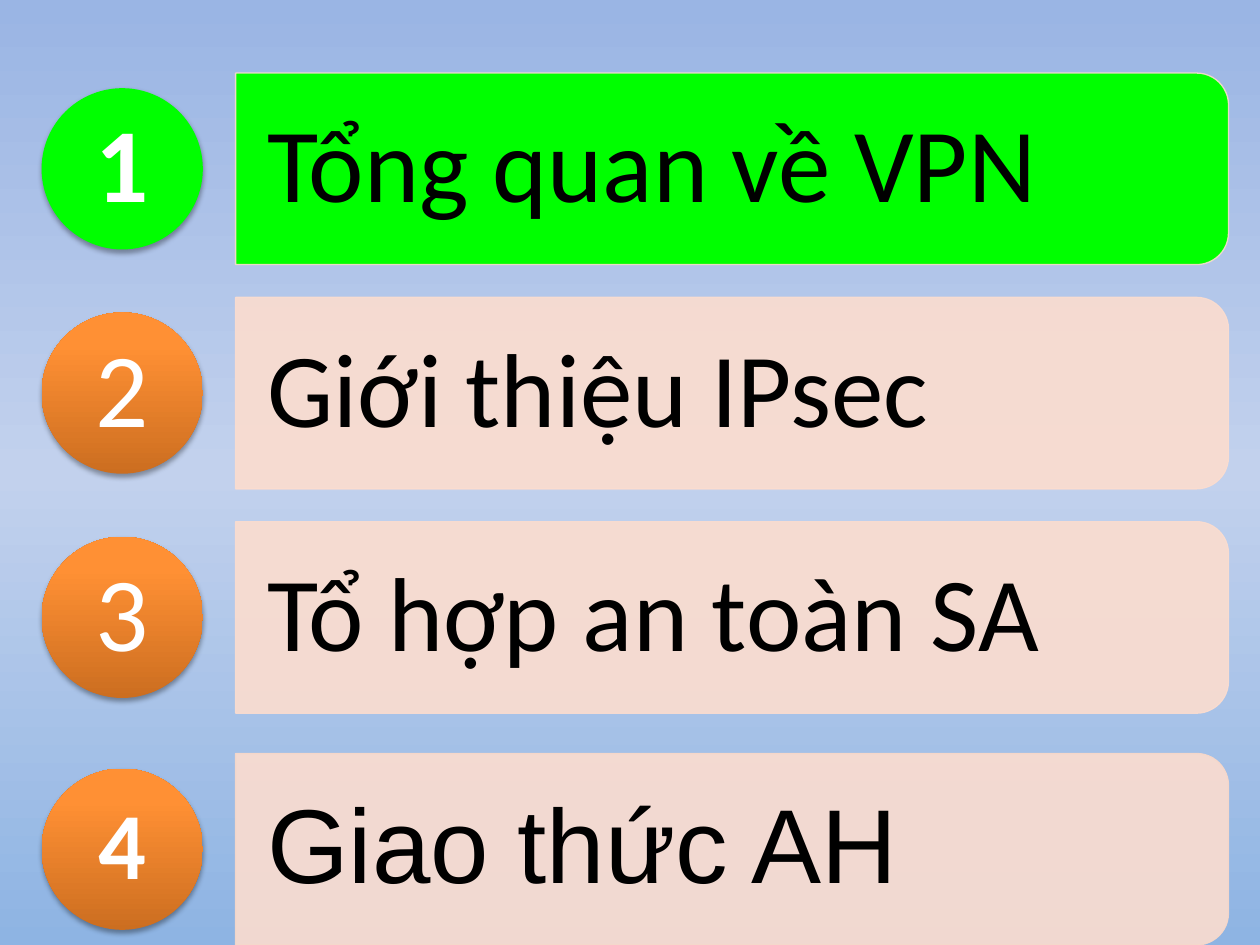
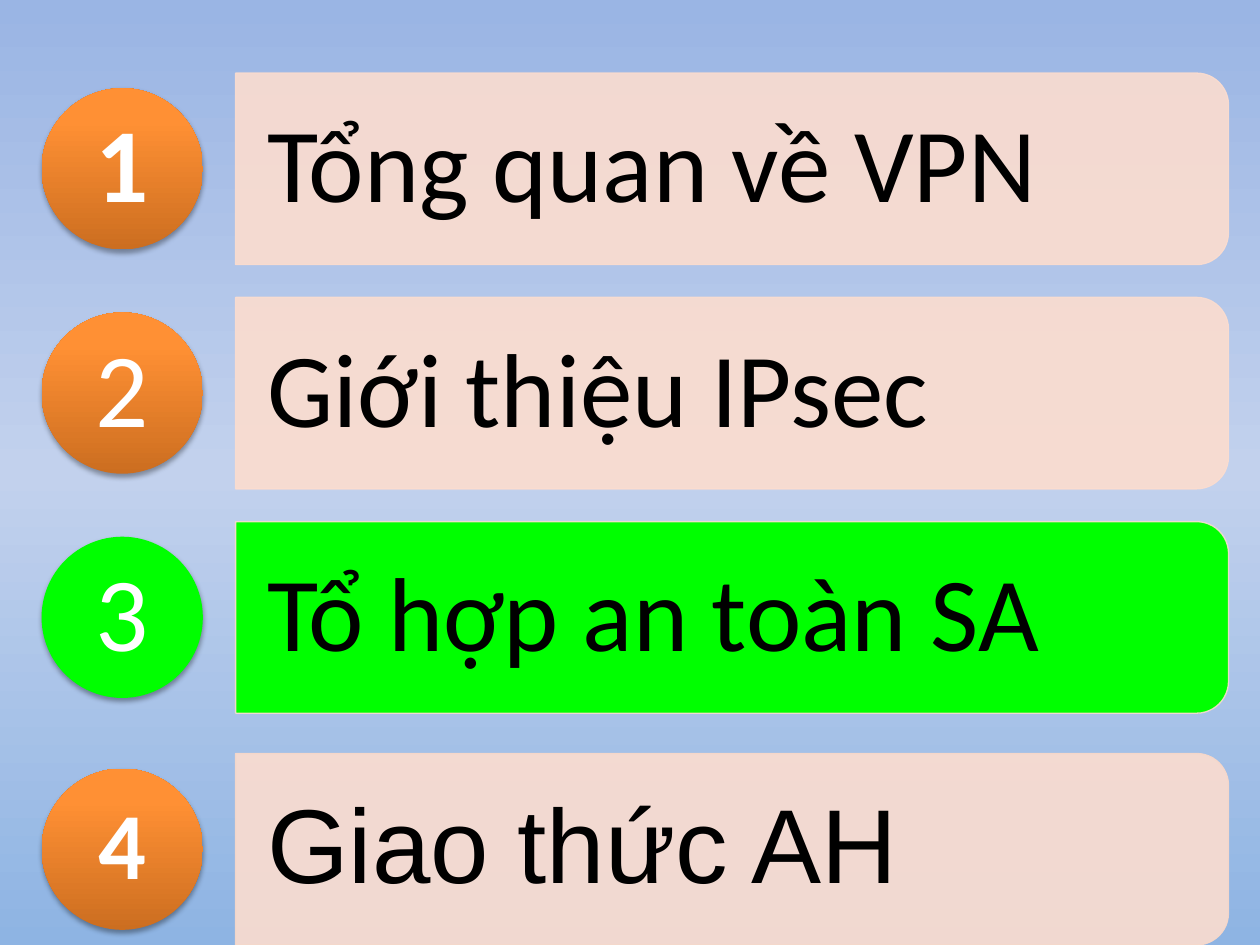
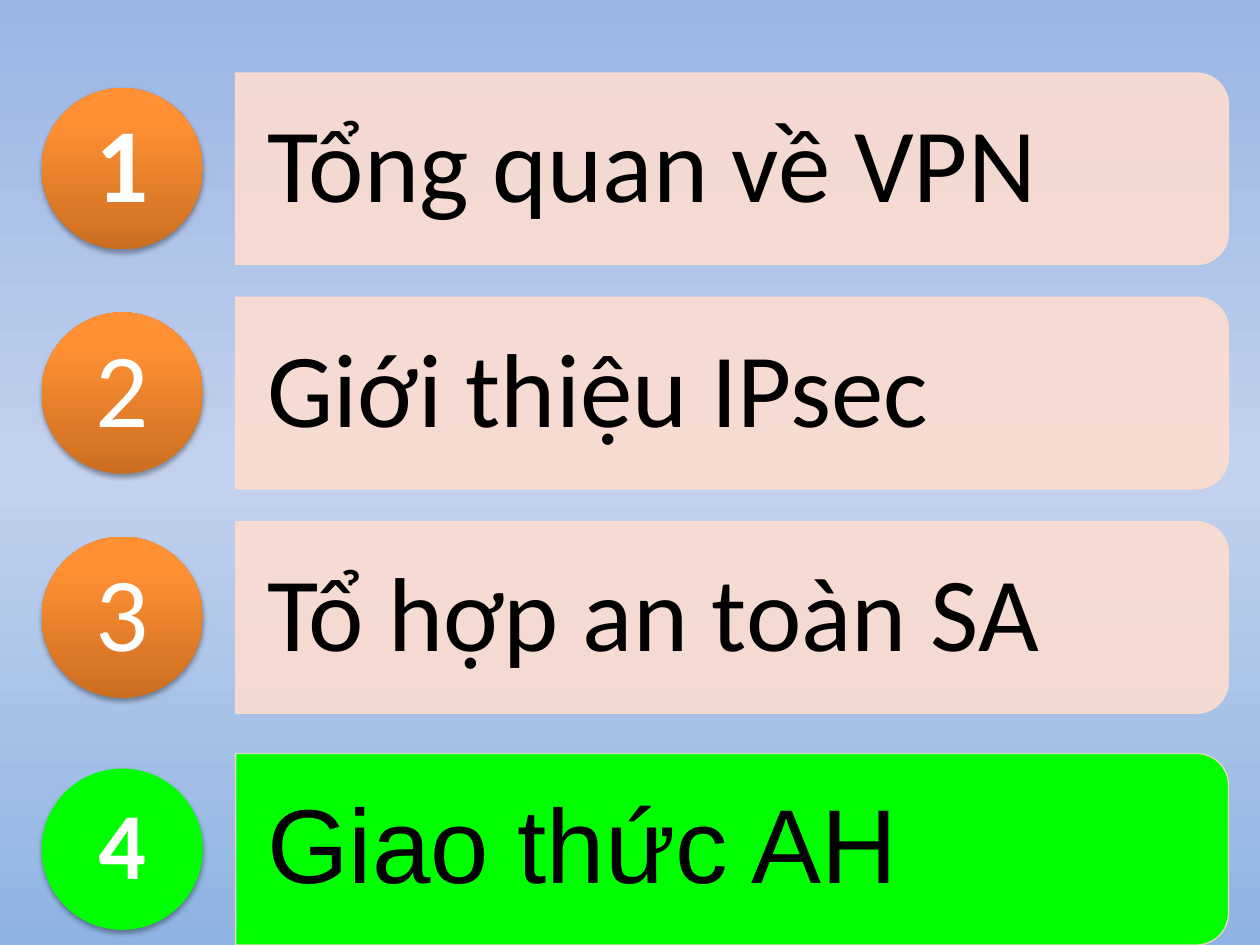
from lxml import etree
from pptx import Presentation
from pptx.dml.color import RGBColor
from pptx.enum.shapes import MSO_SHAPE as SHAPE
from pptx.enum.text import MSO_ANCHOR as ANCHOR, PP_ALIGN as ALIGN
from pptx.oxml.ns import qn
from pptx.util import Inches, Pt

# Shared colours
HIGHLIGHT, PEACH, PEACH_EDGE = "00FF00", "FCDDCF", "F8D8C9"
BLACK, WHITE = "000000", "FFFFFF"
SKY = [(0, "9AB5E4"), (50, "C2D1ED"), (100, "8EB4E3")]
ORANGE = [(0, "CC6E20"), (80, "FF9034"), (100, "FF9136")]

# Shared layout, in inches
BAR_LEFT, BAR_W, BAR_H = 1.87, 7.88, 1.52
LABEL_W, LABEL_H = 7.81, 1.37
CIRCLE_LEFT, CIRCLE_D = 0.33, 1.28

# Agenda rows: vertical centre, label, label font, bar edge, number format
AGENDA = [
    (1.34, "Tổng quan về VPN", "Calibri", PEACH, dict(size=60, bold=True)),
    (3.12, "Giới thiệu IPsec", "Calibri", PEACH, dict(size=60)),
    (4.9, "Tổ hợp an toàn SA", "Calibri", PEACH, dict(size=60)),
    (6.74, "Giao thức AH", "Arial", PEACH_EDGE, dict(size=54, bold=True)),
]
CURRENT_ROWS = [1, 3, 4]


def rgb(color):
    return RGBColor.from_string(color)


def set_alpha(parent, percent):
    color = parent.find(".//" + qn("a:srgbClr"))
    etree.SubElement(color, qn("a:alpha"), val=str(percent * 1000))


def set_gradient(fill, element, stops, angle):
    fill.gradient()
    fill.gradient_angle = angle
    gs_list = element.find(".//" + qn("a:gsLst"))
    for gs in list(gs_list):
        gs_list.remove(gs)
    for pos, color in stops:
        gs = etree.SubElement(gs_list, qn("a:gs"), pos=str(pos * 1000))
        etree.SubElement(gs, qn("a:srgbClr"), val=color)


def add_shadow(shape):
    shape.shadow.inherit = False
    effects = shape.element.spPr.find(qn("a:effectLst"))
    shadow = etree.SubElement(effects, qn("a:outerShdw"), blurRad=str(Pt(3.1)),
                              dist=str(Pt(1.8)), dir="5400000", rotWithShape="0")
    etree.SubElement(shadow, qn("a:srgbClr"), val=BLACK)
    set_alpha(shadow, 35)


def set_text(shape, text, *, size, color, font="Calibri", bold=False,
             align=ALIGN.LEFT, inset=(0, 0)):
    tf = shape.text_frame
    tf.word_wrap = True
    tf.vertical_anchor = ANCHOR.MIDDLE
    tf.margin_left = tf.margin_right = Inches(inset[0])
    tf.margin_top = tf.margin_bottom = Inches(inset[1])
    p = tf.paragraphs[0]
    p.alignment = align
    p.line_spacing = 0.9
    after = etree.SubElement(p._p.get_or_add_pPr(), qn("a:spcAft"))
    etree.SubElement(after, qn("a:spcPct"), val="35000")
    r = p.add_run()
    r.text = text
    r.font.name, r.font.size, r.font.bold = font, Pt(size), bold
    r.font.color.rgb = rgb(color)


def add_bar(s, middle, edge, current):
    # A quarter turn puts the two rounded corners on the right
    bar = s.shapes.add_shape(
        SHAPE.ROUND_2_SAME_RECTANGLE,
        Inches(BAR_LEFT + (BAR_W - BAR_H) / 2), Inches(middle - BAR_W / 2),
        Inches(BAR_H), Inches(BAR_W))
    bar.rotation = 90
    bar.shadow.inherit = False
    bar.fill.solid()
    bar.fill.fore_color.rgb = rgb(HIGHLIGHT if current else PEACH)
    if not current:
        set_alpha(bar.element.spPr.find(qn("a:solidFill")), 90)
    bar.line.color.rgb = rgb(edge)
    bar.line.width = Pt(0.75)
    set_alpha(bar.element.spPr.find(qn("a:ln")), 90)


def add_label(s, middle, text, font):
    label = s.shapes.add_textbox(Inches(BAR_LEFT), Inches(middle - LABEL_H / 2),
                                 Inches(LABEL_W), Inches(LABEL_H))
    set_text(label, text, size=60, color=BLACK, font=font, inset=(0.25, 0.17))


def add_number(s, middle, number, current, **fmt):
    circle = s.shapes.add_shape(
        SHAPE.OVAL, Inches(CIRCLE_LEFT), Inches(middle - CIRCLE_D / 2),
        Inches(CIRCLE_D), Inches(CIRCLE_D))
    if current:
        circle.fill.solid()
        circle.fill.fore_color.rgb = rgb(HIGHLIGHT)
    else:
        set_gradient(circle.fill, circle.element, ORANGE, 90)
    circle.line.fill.background()
    add_shadow(circle)
    set_text(circle, str(number), color=WHITE, align=ALIGN.CENTER, **fmt)


def add_agenda_slide(prs, current_row):
    s = prs.slides.add_slide(prs.slide_layouts[6])
    set_gradient(s.background.fill, s.element, SKY, 270)
    for number, (middle, text, font, edge, fmt) in enumerate(AGENDA, 1):
        current = number == current_row
        add_bar(s, middle, edge, current)
        add_label(s, middle, text, font)
        add_number(s, middle, number, current, **fmt)


def main():
    prs = Presentation()
    prs.slide_width, prs.slide_height = Inches(10), Inches(7.5)
    for row in CURRENT_ROWS:
        add_agenda_slide(prs, row)
    prs.save("out.pptx")


if __name__ == "__main__":
    main()
